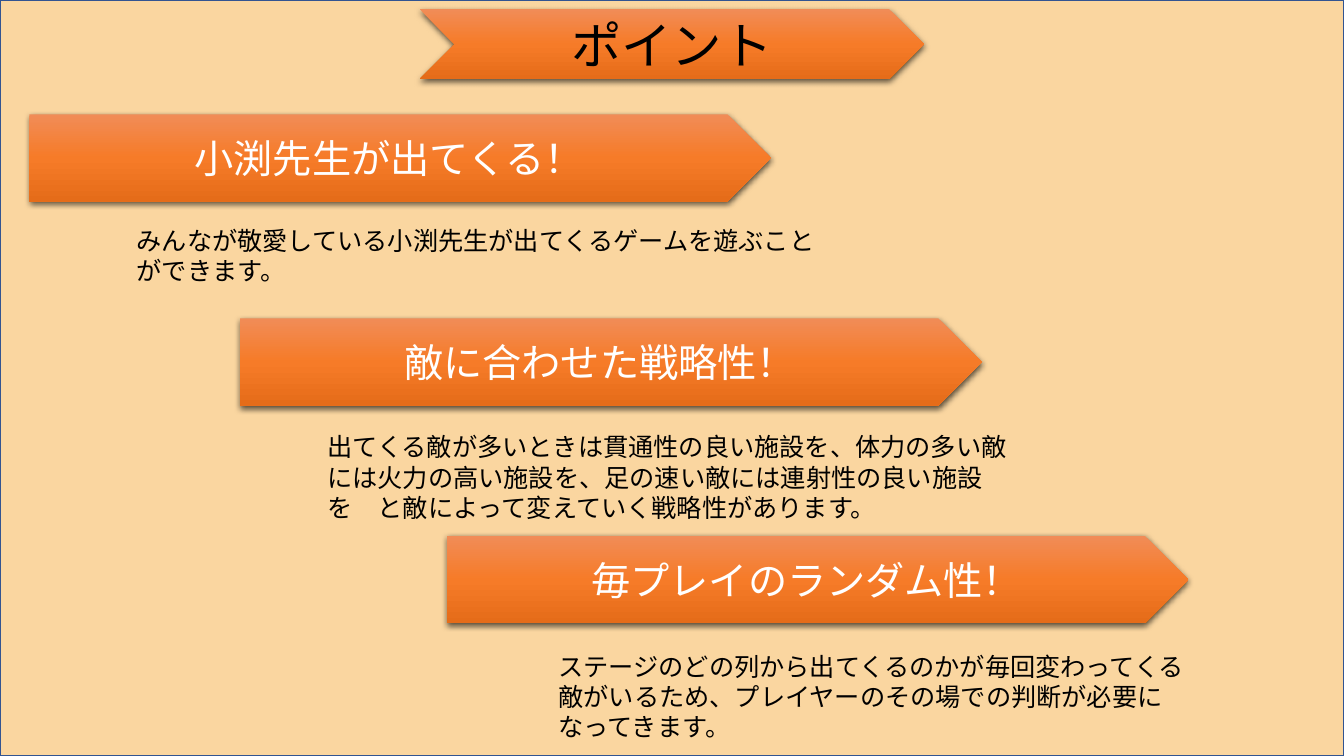
from copy import deepcopy

from lxml.etree import SubElement
from pptx import Presentation
from pptx.dml.color import RGBColor
from pptx.enum.shapes import MSO_SHAPE
from pptx.enum.text import MSO_ANCHOR, MSO_AUTO_SIZE, PP_ALIGN
from pptx.oxml import parse_xml
from pptx.oxml.ns import nsdecls, qn
from pptx.util import Inches, Pt

COLS, ROWS = 16, 9
CELL = Inches(7.5) / ROWS
FONT = "Noto Sans CJK JP"
BANNER = 8.83, 1.04
GRADE = (0, "F18C57"), (0.5, "F67B28"), (1, "E56C19")
SHADE = f"""<a:effectLst {nsdecls("a")}>
  <a:outerShdw blurRad="{Pt(4.5)}" dist="{Pt(1.5)}" dir="5400000" algn="ctr" rotWithShape="0">
    <a:srgbClr val="000000"><a:alpha val="63000"/></a:srgbClr>
  </a:outerShdw>
</a:effectLst>"""

# Banner left and top, heading, body box relative to the banner, body text
POINTS = [
    (0.35, 1.36, "小渕先生が出てくる！", (1.16, 1.26, 8.42, 0.85),
     "みんなが敬愛している小渕先生が出てくるゲームを遊ぶことができます。"),
    (2.86, 3.79, "敵に合わせた戦略性！", (0.92, 1.29, 8.45, 1.21),
     "出てくる敵が多いときは貫通性の良い施設を、体力の多い敵には火力の高い施設を、"
     "足の速い敵には連射性の良い施設を　と敵によって変えていく戦略性があります。"),
    (5.32, 6.38, "毎プレイのランダム性！", (1.21, 1.31, 7.92, 1.21),
     "ステージのどの列から出てくるのかが毎回変わってくる敵がいるため、"
     "プレイヤーのその場での判断が必要になってきます。"),
]


def color(code):
    return RGBColor.from_string(code)


def scale(*cells):
    """Turn grid cells into slide lengths."""
    return [round(n * CELL) for n in cells]


def write(shape, text, size, code, align):
    frame = shape.text_frame
    frame.word_wrap = True
    para = frame.paragraphs[0]
    para.text = text
    para.alignment = align
    font = para.font
    font.size, font.name = Pt(size), FONT
    font.color.rgb = color(code)
    props = para._p.pPr.find(qn("a:defRPr"))
    SubElement(props, qn("a:ea"), typeface=FONT)


def backdrop(slide):
    panel = slide.shapes.add_shape(MSO_SHAPE.RECTANGLE, *scale(0, 0, COLS, ROWS))
    panel.shadow.inherit = False
    panel.fill.solid()
    panel.fill.fore_color.rgb = color("FAD6A0")
    panel.line.color.rgb = color("325491")
    panel.line.width = Pt(1)


def banner(slide, kind, box, text, size, code):
    arrow = slide.shapes.add_shape(kind, *scale(*box))
    arrow.line.fill.background()
    fill = arrow.fill
    fill.gradient()
    fill.gradient_angle = 270
    stops = arrow._element.spPr.find(".//" + qn("a:gsLst"))
    stops.append(deepcopy(stops[-1]))
    for stop, (place, tint) in zip(fill.gradient_stops, GRADE):
        stop.position = place
        stop.color.rgb = color(tint)
    arrow._element.spPr.append(parse_xml(SHADE))
    arrow.text_frame.vertical_anchor = MSO_ANCHOR.MIDDLE
    write(arrow, text, size, code, PP_ALIGN.CENTER)


def point(slide, left, top, head, body, text):
    """Place a heading banner with its body text below."""
    banner(slide, MSO_SHAPE.PENTAGON, (left, top, *BANNER), head, 28, "FFFFFF")
    x, y, wide, high = body
    note = slide.shapes.add_textbox(*scale(left + x, top + y, wide, high))
    write(note, text, 18, "000000", PP_ALIGN.LEFT)
    note.text_frame.auto_size = MSO_AUTO_SIZE.SHAPE_TO_FIT_TEXT


def main():
    deck = Presentation()
    deck.slide_width, deck.slide_height = scale(COLS, ROWS)
    slide = deck.slides.add_slide(deck.slide_layouts[6])
    backdrop(slide)
    banner(slide, MSO_SHAPE.CHEVRON, (5, 0.11, 6, 0.83), "ポイント", 36, "000000")
    for item in POINTS:
        point(slide, *item)
    deck.save("out.pptx")


if __name__ == "__main__":
    main()
